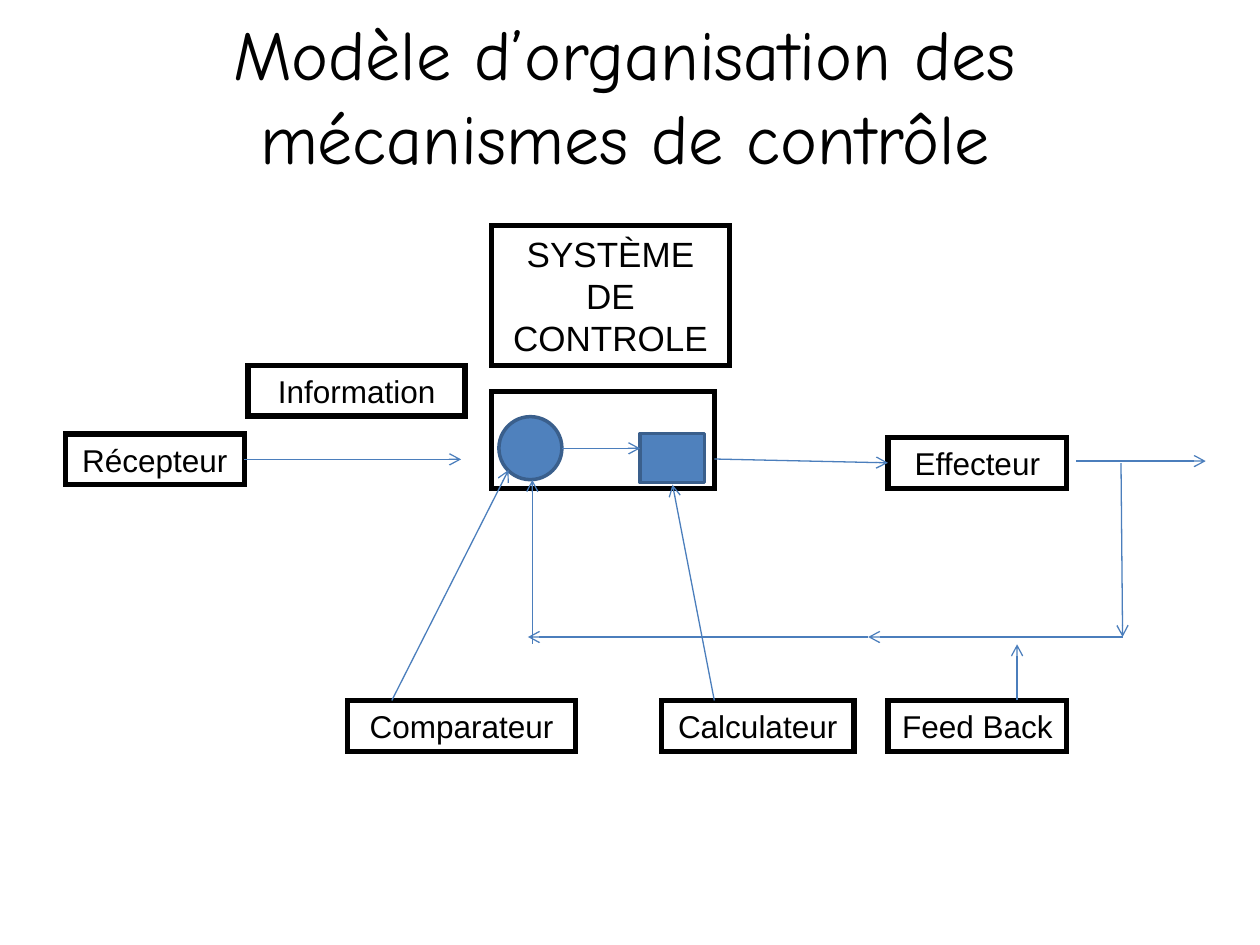
from typing import NamedTuple, Optional

from lxml import etree
from pptx import Presentation
from pptx.dml.color import RGBColor
from pptx.enum.shapes import MSO_CONNECTOR, MSO_SHAPE
from pptx.enum.text import MSO_ANCHOR, MSO_AUTO_SIZE, PP_ALIGN
from pptx.oxml.ns import qn
from pptx.util import Pt

RECT = MSO_SHAPE.RECTANGLE
ROUND = MSO_SHAPE.FLOWCHART_CONNECTOR
STRAIGHT = MSO_CONNECTOR.STRAIGHT
CENTER = PP_ALIGN.CENTER
MIDDLE = MSO_ANCHOR.MIDDLE
FIT = MSO_AUTO_SIZE.SHAPE_TO_FIT_TEXT
FIXED = MSO_AUTO_SIZE.NONE
LEFT, RIGHT = 1, 3

BLACK, WHITE = "000000", "FFFFFF"
BLUE, EDGE, ARROW = "4F81BD", "3A5F8C", "4B7EBC"
ROW = 400.3    # top of the lower labels
LOOP = 364     # height of the feedback line
TALL = 29      # height of a one-line label


class Box(NamedTuple):
    key: str
    x: float
    y: float
    w: float
    h: float = TALL
    text: str = ""
    size: float = 18
    form: int = RECT
    fill: str = WHITE
    edge: str = BLACK
    width: float = 3


class Arrow(NamedTuple):
    x1: float
    y1: float
    x2: float
    y2: float
    source: Optional[str] = None
    target: Optional[str] = None


BOXES = [
    Box("system", 280.8, 128.9, 136.1, 80, "SYSTÈME DE CONTROLE", 20),
    Box("feedback", 507.4, ROW, 102.2, text="Feed Back"),
    Box("receptor", 37.4, 248, 102.2, text="Récepteur"),
    Box("control", 280.8, 223.9, 127.4, 55.4),
    Box("effector", 507.4, 250, 102.2, text="Effecteur"),
    Box("info", 141.8, 208.8, 124, text="Information"),
    Box("compare", 198.6, ROW, 130.3, text="Comparateur"),
    Box("compute", 377.9, ROW, 110.2, text="Calculateur"),
    Box("square", 365.8, 247.7, 36.7, 28.1, fill=BLUE, edge=EDGE, width=2),
    Box("circle", 285.1, 238.1, 36, 36, form=ROUND, fill=BLUE, edge=EDGE, width=2),
]

ARROWS = [
    Arrow(614.9, 263.5, 689, 263.5),
    Arrow(139.6, 262.5, 263.5, 262.5, source="receptor"),
    Arrow(640.6, 264.7, 641.5, LOOP),
    Arrow(641.5, LOOP, 496.1, LOOP),
    Arrow(496.1, LOOP, 301.7, LOOP),
    Arrow(408.2, 262.3, 507.4, 264.5, target="effector"),
    Arrow(304.2, 367.9, 304.2, 274.3),
    Arrow(321.1, 256.2, 365.8, 256.2),
    Arrow(223.9, ROW, 290.6, 268.6),
    Arrow(581.2, ROW, 581.2, 368.2),
    Arrow(408.2, ROW, 384.3, 277),
]


def color(code: str) -> RGBColor:
    return RGBColor.from_string(code)


def write(frame, text: str, face: str, size: float) -> None:
    frame.text = text
    frame.word_wrap = True
    frame.vertical_anchor = MIDDLE
    para = frame.paragraphs[0]
    para.alignment = CENTER
    para.font.name = face
    para.font.size = Pt(size)
    para.font.color.rgb = color(BLACK)


def draw_box(slide, box: Box):
    shape = slide.shapes.add_shape(
        box.form, Pt(box.x), Pt(box.y), Pt(box.w), Pt(box.h))
    shape.shadow.inherit = False
    shape.fill.solid()
    shape.fill.fore_color.rgb = color(box.fill)
    shape.line.color.rgb = color(box.edge)
    shape.line.width = Pt(box.width)
    if box.edge == BLACK:
        outline = shape.element.spPr.find(qn("a:ln"))
        etree.SubElement(outline, qn("a:miter"), lim="800000")
    if box.text:
        write(shape.text_frame, box.text, "Arial", box.size)
        shape.text_frame.auto_size = FIT
    return shape


def draw_arrow(slide, arrow: Arrow, shapes: dict) -> None:
    line = slide.shapes.add_connector(
        STRAIGHT, Pt(arrow.x1), Pt(arrow.y1), Pt(arrow.x2), Pt(arrow.y2))
    if arrow.source:
        line.begin_connect(shapes[arrow.source], RIGHT)
    if arrow.target:
        line.end_connect(shapes[arrow.target], LEFT)
    line.line.color.rgb = color(ARROW)
    line.line.width = Pt(0.75)
    props = line.element.spPr
    etree.SubElement(props.find(qn("a:ln")), qn("a:tailEnd"), type="arrow")
    etree.SubElement(props, qn("a:effectLst"))


def main() -> None:
    deck = Presentation()
    deck.slide_width, deck.slide_height = Pt(720), Pt(540)
    slide = deck.slides.add_slide(deck.slide_layouts[5])

    title = slide.shapes.title
    title.left, title.top = Pt(25.5), Pt(8.9)
    title.width, title.height = Pt(663), Pt(90)
    write(title.text_frame, "Modèle d’organisation des mécanismes de contrôle",
          "Comic Neue", 40)
    title.text_frame.auto_size = FIXED

    shapes = {box.key: draw_box(slide, box) for box in BOXES}
    for arrow in ARROWS:
        draw_arrow(slide, arrow, shapes)
    deck.save("out.pptx")


if __name__ == "__main__":
    main()
